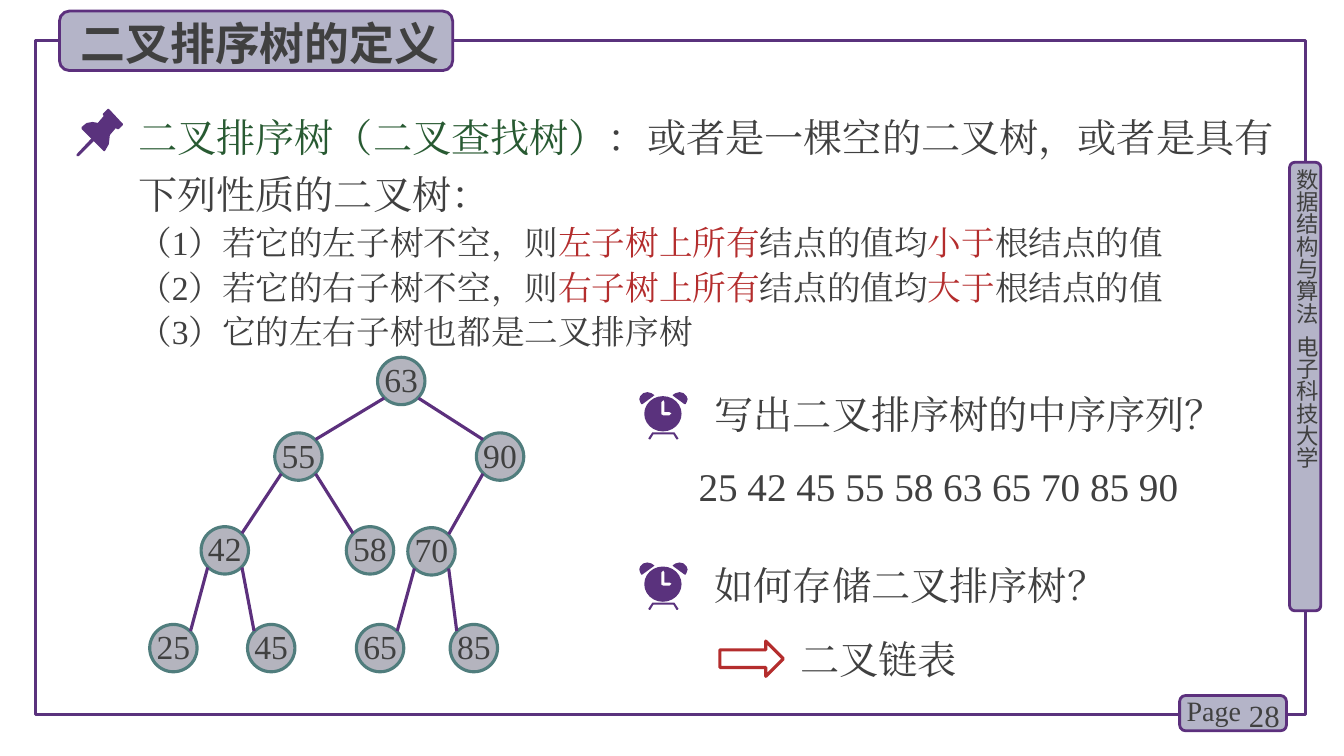
from lxml.etree import SubElement
from pptx import Presentation
from pptx.dml.color import RGBColor
from pptx.enum.shapes import MSO_CONNECTOR, MSO_SHAPE
from pptx.enum.text import MSO_ANCHOR, MSO_AUTO_SIZE, PP_ALIGN
from pptx.oxml.ns import qn
from pptx.util import Inches, Pt

COLORS = {
    "text": "404040", "green": "285A32", "red": "B42D2D", "icon": "5A327D",
    "border": "5C307D", "panel": "B4B4C8", "node": "B4B4BE", "ring": "507D7D",
    "white": "FFFFFF",
}
SERIF = "Times New Roman"
SANS = "Noto Sans CJK SC"


def style_shape(shape, fill=None, line=None, width=2.25):
    shape.shadow.inherit = False
    if fill:
        shape.fill.solid()
        shape.fill.fore_color.rgb = RGBColor.from_string(COLORS[fill])
    else:
        shape.fill.background()
    if line:
        shape.line.color.rgb = RGBColor.from_string(COLORS[line])
        shape.line.width = Pt(width)
    else:
        shape.line.fill.background()


def write_paragraph(paragraph, runs, size, spacing=None, align=PP_ALIGN.LEFT, font=SERIF):
    paragraph.alignment = align
    paragraph.space_before = Pt(0)
    if spacing:
        paragraph.line_spacing = Pt(spacing)
    for text, color in runs:
        run = paragraph.add_run()
        run.text = text
        run.font.size = Pt(size)
        run.font.name = font
        run.font.color.rgb = RGBColor.from_string(COLORS[color])
        SubElement(run.font._element, qn("a:ea")).set("typeface", font)


presentation = Presentation()
presentation.slide_width = Inches(13.33)
presentation.slide_height = Inches(7.5)
slide = presentation.slides.add_slide(presentation.slide_layouts[1])
shapes = slide.shapes

panels = [
    (MSO_SHAPE.RECTANGLE, (0.35, 0.4, 12.6, 6.69), None, "icon", 2.25),
    (MSO_SHAPE.ROUNDED_RECTANGLE, (12.79, 1.61, 0.31, 4.45), "panel", "border", 2),
    (MSO_SHAPE.ROUNDED_RECTANGLE, (11.7, 6.9, 1.06, 0.35), "panel", "border", 2),
    (MSO_SHAPE.ROUNDED_RECTANGLE, (0.59, 0.11, 3.9, 0.59), "panel", "border", 2),
    (MSO_SHAPE.RIGHT_ARROW, (7.14, 6.36, 0.63, 0.35), None, "red", 2.25),
]
for kind, box, fill, line, width in panels:
    panel = shapes.add_shape(kind, *map(Inches, box))
    style_shape(panel, fill, line, width)

title = shapes.title
title.left, title.top, title.width, title.height = map(Inches, (0.7, 0.07, 4.09, 0.64))
title.text_frame.auto_size = MSO_AUTO_SIZE.NONE
title.text_frame.vertical_anchor = MSO_ANCHOR.TOP
write_paragraph(title.text_frame.paragraphs[0], [("二叉排序树的定义", "text")], 32, 41, font=SANS)
title.text_frame.paragraphs[0].runs[0].font.bold = True

body = slide.placeholders[1]
body.left, body.top, body.width, body.height = map(Inches, (1.37, 0.98, 11.32, 2.58))
body.text_frame.auto_size = MSO_AUTO_SIZE.NONE
body.text_frame.vertical_anchor = MSO_ANCHOR.TOP
body.text_frame.margin_left = body.text_frame.margin_right = 0
definition = [
    ([("二叉排序树（二叉查找树）", "green"),
      ("：或者是一棵空的二叉树，或者是具有下列性质的二叉树：", "text")], 28, 40.5, PP_ALIGN.LEFT),
]
for number, side, relation in [(1, "左", "小于"), (2, "右", "大于")]:
    runs = [
        (f"（{number}）若它的{side}子树不空，则", "text"), (f"{side}子树上所有", "red"),
        ("结点的值均", "text"), (relation, "red"), ("根结点的值", "text"),
    ]
    definition.append((runs, 24, 32, PP_ALIGN.JUSTIFY))
definition.append(([("（3）它的左右子树也都是二叉排序树", "text")], 24, 32, PP_ALIGN.JUSTIFY))
for index, (runs, size, spacing, align) in enumerate(definition):
    paragraph = body.text_frame.paragraphs[0] if index == 0 else body.text_frame.add_paragraph()
    write_paragraph(paragraph, runs, size, spacing, align)
    properties = paragraph._p.get_or_add_pPr()
    properties.set("marL", "0")
    properties.set("indent", "0")
    SubElement(properties, qn("a:buNone"))

for placeholder in (title, body):
    shapes.element.append(placeholder.element)

labels = [
    ("写出二叉排序树的中序序列？", (6.99, 3.82, 5.43, 0.57), 28, 34, PP_ALIGN.LEFT),
    ("25 42 45 55 58 63 65 70 85 90", (6.83, 4.53, 5.43, 0.57), 28, 34, PP_ALIGN.LEFT),
    ("如何存储二叉排序树？", (6.99, 5.51, 5.43, 0.57), 28, 34, PP_ALIGN.LEFT),
    ("二叉链表", (7.84, 6.25, 1.86, 0.57), 28, 34, PP_ALIGN.LEFT),
    ("Page", (11.67, 6.83, 0.78, 0.44), 20, None, PP_ALIGN.LEFT),
    ("28", (12.2, 6.86, 0.59, 0.4), 22, None, PP_ALIGN.RIGHT),
]
for text, box, size, spacing, align in labels:
    label = shapes.add_textbox(*map(Inches, box))
    label.text_frame.word_wrap = True
    write_paragraph(label.text_frame.paragraphs[0], [(text, "text")], size, spacing, align)

course = shapes.add_textbox(*map(Inches, (12.83, 1.67, 0.27, 4.49)))
frame = course.text_frame
frame.word_wrap = True
frame.vertical_anchor = MSO_ANCHOR.MIDDLE
frame.margin_left = frame.margin_right = frame.margin_top = frame.margin_bottom = 0
frame._txBody.bodyPr.set("vert", "eaVert")
course_runs = [("数据结构与算法", "text"), (" ", "text"), ("电子科技大学", "text")]
write_paragraph(frame.paragraphs[0], course_runs, 16, font=SANS)
frame.paragraphs[0].runs[1].font._element.set("spc", "400")

RADIUS = 0.235
DIAGONAL = 0.17
node_centers = {
    63: (3.98, 3.78), 55: (2.96, 4.53), 90: (4.96, 4.53),
    42: (2.23, 5.46), 58: (3.67, 5.46), 70: (4.28, 5.47),
    25: (1.72, 6.43), 45: (2.69, 6.43), 65: (3.77, 6.43), 85: (4.7, 6.43),
}
for value, (x, y) in node_centers.items():
    node = shapes.add_shape(
        MSO_SHAPE.OVAL, Inches(x - RADIUS), Inches(y - RADIUS), Inches(2 * RADIUS), Inches(2 * RADIUS))
    style_shape(node, "node", "ring")
    frame = node.text_frame
    frame.word_wrap = False
    frame.vertical_anchor = MSO_ANCHOR.MIDDLE
    frame.margin_left = frame.margin_right = frame.margin_top = frame.margin_bottom = 0
    write_paragraph(frame.paragraphs[0], [(str(value), "text")], 24, 26, PP_ALIGN.CENTER)

edges = [(63, 55), (63, 90), (55, 42), (55, 58), (90, 70), (42, 25), (42, 45), (70, 65), (70, 85)]
for parent, child in edges:
    shift = -DIAGONAL if child < parent else DIAGONAL
    start_x, start_y = node_centers[parent]
    end_x, end_y = node_centers[child]
    ends = (start_x + shift, start_y + DIAGONAL, end_x - shift, end_y - DIAGONAL)
    edge = shapes.add_connector(MSO_CONNECTOR.STRAIGHT, *map(Inches, ends))
    edge.line.color.rgb = RGBColor.from_string(COLORS["border"])
    edge.line.width = Pt(2.25)
    SubElement(edge._element.spPr, qn("a:effectLst"))

pin_head = [
    (1.22, 1.23), (1.08, 1.08), (1.07, 1.08), (1.02, 1.13), (1.02, 1.14), (1.03, 1.15),
    (0.97, 1.22), (0.92, 1.21), (0.86, 1.22), (0.81, 1.26), (0.81, 1.28), (1.03, 1.5),
    (1.04, 1.5), (1.08, 1.43), (1.09, 1.34), (1.15, 1.27), (1.16, 1.28), (1.18, 1.28), (1.22, 1.24),
]
pin_needle = [(0.77, 1.55), (0.76, 1.55), (0.76, 1.53), (0.91, 1.37), (0.94, 1.37), (0.94, 1.39), (0.78, 1.55)]
left_bell = [
    (-0.22, 0.12), (-0.23, 0.1), (-0.24, 0.07), (-0.23, 0.04), (-0.2, 0.01),
    (-0.16, 0), (-0.12, 0.01), (-0.09, 0.03), (-0.1, 0.04), (-0.21, 0.12),
]
right_bell = [(-x, y) for x, y in left_bell]
feet = [
    (-0.14, 0.47), (-0.15, 0.46), (-0.11, 0.4), (0.11, 0.4), (0.15, 0.46),
    (0.14, 0.47), (0.13, 0.47), (0.1, 0.42), (-0.1, 0.42), (-0.13, 0.47),
]
hands = [
    (-0.02, 0.1), (0, 0.08), (0.01, 0.1), (0.01, 0.2), (0.06, 0.2),
    (0.08, 0.21), (0.06, 0.23), (0, 0.23), (-0.02, 0.22),
]
outlines = [(pin_head, "icon"), (pin_needle, "icon")]
for clock_top in (3.89, 5.58):
    face = shapes.add_shape(MSO_SHAPE.OVAL, *map(Inches, (6.39, clock_top + 0.04, 0.37, 0.35)))
    style_shape(face, "icon")
    for part, color in [(left_bell, "icon"), (right_bell, "icon"), (feet, "icon"), (hands, "white")]:
        outlines.append(([(6.58 + x, clock_top + y) for x, y in part], color))
for points, color in outlines:
    corners = [(Inches(x), Inches(y)) for x, y in points]
    builder = shapes.build_freeform(*corners[0])
    builder.add_line_segments(corners[1:], close=True)
    style_shape(builder.convert_to_shape(), color)

presentation.save("out.pptx")
